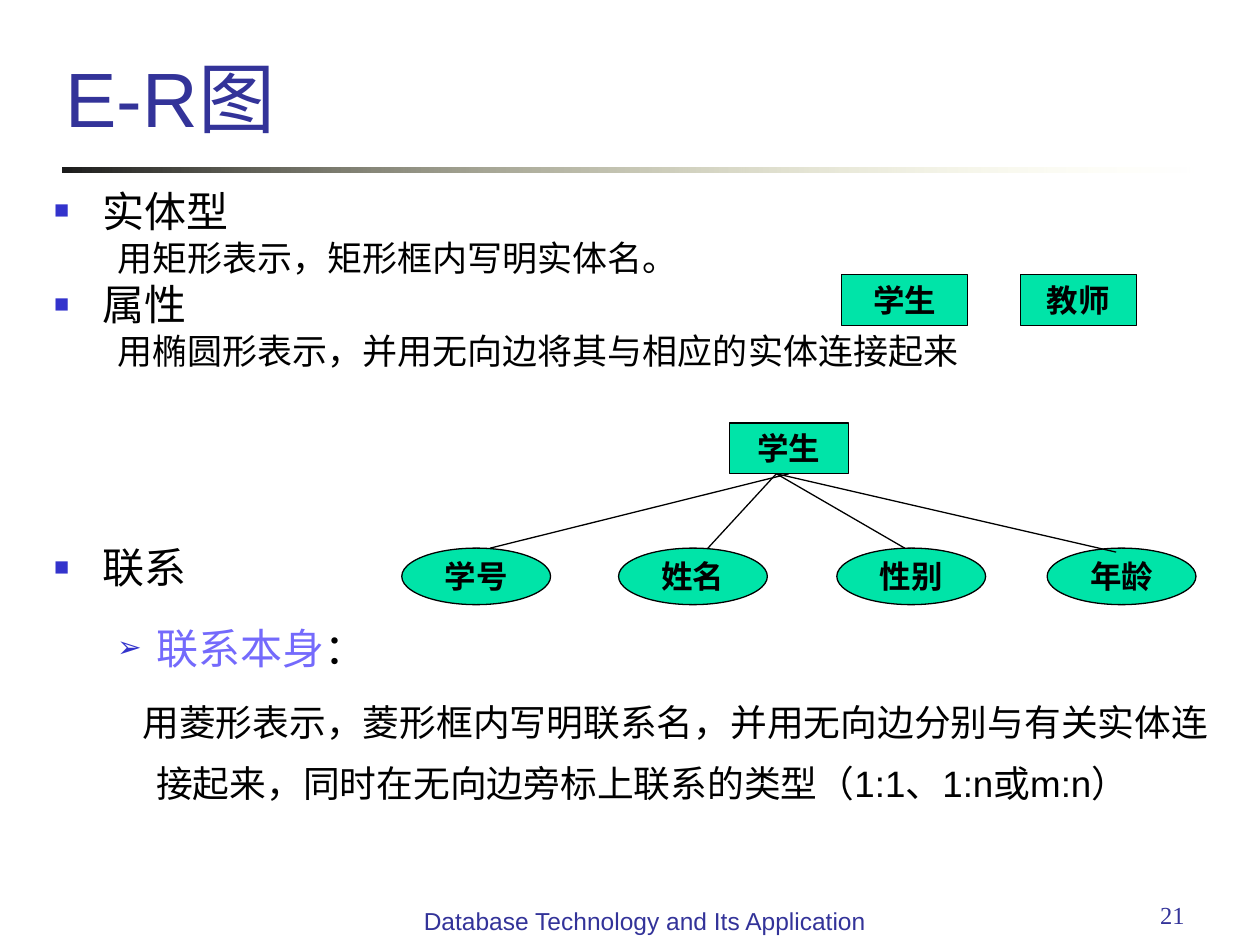
from dataclasses import dataclass

from lxml import etree
from pptx import Presentation
from pptx.dml.color import RGBColor
from pptx.enum.shapes import MSO_CONNECTOR, MSO_SHAPE
from pptx.enum.text import MSO_ANCHOR, PP_ALIGN
from pptx.oxml.ns import qn
from pptx.util import Cm, Pt

RECT, OVAL, STRAIGHT = MSO_SHAPE.RECTANGLE, MSO_SHAPE.OVAL, MSO_CONNECTOR.STRAIGHT
TOP, MIDDLE, BOTTOM = MSO_ANCHOR.TOP, MSO_ANCHOR.MIDDLE, MSO_ANCHOR.BOTTOM
LEFT, CENTER, RIGHT = PP_ALIGN.LEFT, PP_ALIGN.CENTER, PP_ALIGN.RIGHT
SANS, SERIF = "Arial", "Times New Roman"
COLORS = {
    "text": "000000", "heading": "333399", "bullet": "3333CC", "accent": "746AFC",
    "node": "00E4A8", "rule_start": "1C1C1C", "rule_end": "FFFFB7",
}
SQUARE, ARROW = ("■", 60), ("➢", 70)
BOTTOM_SIDE = 2


@dataclass
class Box:
    left: float
    top: float
    width: float
    height: float

    def lengths(self) -> list:
        return [Cm(v) for v in (self.left, self.top, self.width, self.height)]


@dataclass
class Label:
    text: str
    size: float
    font: str = SANS
    color: str = "heading"
    align: int = LEFT


@dataclass
class Item:
    runs: list
    size: float
    before: float = 0
    spacing: float = 0.8
    margin: float = 2.06
    indent: float = -0.79
    bullet: tuple | None = None


@dataclass
class Spoke:
    start_x: float
    end_x: float
    end_y: float
    joined: bool = False


RULE = Box(1.27, 3.38, 22.86, 0.1)
LABELS = [
    (Box(1.07, 0, 22.3, 3), Label("E-R图", 44), BOTTOM),
    (Box(18.21, 18.01, 5.92, 0.9), Label("21", 14, SERIF, align=RIGHT), TOP),
    (Box(8.1, 18.14, 9.8, 0.9),
     Label("Database Technology and Its Application", 14, align=CENTER), TOP),
]
BODY = Box(0.84, 3.81, 24.03, 13.23)
TOPIC = dict(size=24, margin=0.97, indent=-0.97, bullet=SQUARE)
ITEMS = [
    Item([("实体型", "text")], **TOPIC),
    Item([("用矩形表示，矩形框内写明实体名。", "text")], 20, 5),
    Item([("属性", "text")], before=6, **TOPIC),
    Item([("用椭圆形表示，并用无向边将其与相应的实体连接起来", "text")], 20, 5),
    # the wide gap leaves room for the attribute diagram
    Item([("联系", "text")], before=103, **TOPIC),
    Item([("联系本身", "accent"), ("：", "text")], 24, 6, 1.4, bullet=ARROW),
    Item([("用菱形表示，菱形框内写明联系名，并用无向边分别与有关实体连接起来，"
           "同时在无向边旁标上联系的类型（1:1、1:n或m:n）", "text")],
         21, 5.2, 1.4, indent=-0.28),
]
EXAMPLE_ENTITIES = [
    ("学生", Box(16.97, 5.54, 2.54, 1.02)),
    ("教师", Box(20.57, 5.54, 2.34, 1.02)),
]
OWNER_BOX = Box(14.71, 8.53, 2.39, 1.02)
ATTRIBUTES = [("学号", 8.1), ("姓名", 12.47), ("性别", 16.87), ("年龄", 21.11)]
ATTRIBUTE_TOP = 11.05
SPOKES = [
    Spoke(15.9, 9.88, ATTRIBUTE_TOP, joined=True),
    Spoke(15.65, 14.27, ATTRIBUTE_TOP),
    Spoke(15.65, 18.24, ATTRIBUTE_TOP),
    Spoke(15.65, 22.5, 11.13),
]


def rgb(name: str) -> RGBColor:
    return RGBColor.from_string(COLORS[name])


def add_run(paragraph, text: str, size: float, font: str, color: str, bold=False) -> None:
    run = paragraph.add_run()
    run.text = text
    run.font.size = Pt(size)
    run.font.name = font
    run.font.bold = bold
    run.font.color.rgb = rgb(color)


def add_rule(slide, box: Box) -> None:
    """Draw the line under the title, fading out to the right."""
    rule = slide.shapes.add_shape(RECT, *box.lengths())
    rule.shadow.inherit = False
    rule.line.fill.background()
    rule.fill.gradient()
    rule.fill.gradient_angle = 0
    for stop, color in zip(rule.fill.gradient_stops, ("rule_start", "rule_end")):
        stop.color.rgb = rgb(color)
    fading = list(rule._element.spPr.iter(qn("a:srgbClr")))[-1]
    etree.SubElement(fading, qn("a:alpha"), val="0")


def add_label(slide, box: Box, label: Label, anchor: int) -> None:
    frame = slide.shapes.add_textbox(*box.lengths()).text_frame
    frame.word_wrap = True
    frame.vertical_anchor = anchor
    paragraph = frame.paragraphs[0]
    paragraph.alignment = label.align
    add_run(paragraph, label.text, label.size, label.font, label.color)


def add_bullet(paragraph, char: str, percent: int) -> None:
    properties = paragraph._p.get_or_add_pPr()
    color = etree.SubElement(properties, qn("a:buClr"))
    etree.SubElement(color, qn("a:srgbClr"), val=COLORS["bullet"])
    etree.SubElement(properties, qn("a:buSzPct"), val=str(percent * 1000))
    etree.SubElement(properties, qn("a:buFont"), typeface=SANS)
    etree.SubElement(properties, qn("a:buChar"), char=char)


def add_body(slide, box: Box, items: list[Item]) -> None:
    frame = slide.shapes.add_textbox(*box.lengths()).text_frame
    frame.word_wrap = True
    for index, item in enumerate(items):
        paragraph = frame.add_paragraph() if index else frame.paragraphs[0]
        paragraph.line_spacing = item.spacing
        paragraph.space_before = Pt(item.before)
        properties = paragraph._p.get_or_add_pPr()
        properties.set("marL", str(Cm(item.margin)))
        properties.set("indent", str(Cm(item.indent)))
        if item.bullet:
            add_bullet(paragraph, *item.bullet)
        for text, color in item.runs:
            add_run(paragraph, text, item.size, SANS, color)


def add_node(slide, kind: int, text: str, box: Box):
    node = slide.shapes.add_shape(kind, *box.lengths())
    node.shadow.inherit = False
    node.fill.solid()
    node.fill.fore_color.rgb = rgb("node")
    node.line.color.rgb = rgb("text")
    node.line.width = Pt(0.75)
    frame = node.text_frame
    frame.word_wrap = kind == RECT
    frame.vertical_anchor = MIDDLE
    frame.paragraphs[0].alignment = CENTER
    add_run(frame.paragraphs[0], text, 18, SERIF, "text", bold=True)
    return node


def add_spoke(slide, owner, spoke: Spoke) -> None:
    line = slide.shapes.add_connector(
        STRAIGHT, Cm(spoke.start_x), owner.top + owner.height,
        Cm(spoke.end_x), Cm(spoke.end_y))
    if spoke.joined:
        line.begin_connect(owner, BOTTOM_SIDE)
    line.line.color.rgb = rgb("text")
    line.line.width = Pt(0.75)
    etree.SubElement(line._element.spPr, qn("a:effectLst"))


def main() -> None:
    deck = Presentation()
    deck.slide_width, deck.slide_height = Cm(25.4), Cm(19.05)
    slide = deck.slides.add_slide(deck.slide_layouts[6])
    add_rule(slide, RULE)
    for box, label, anchor in LABELS:
        add_label(slide, box, label, anchor)
    add_body(slide, BODY, ITEMS)
    for name, box in EXAMPLE_ENTITIES:
        add_node(slide, RECT, name, box)
    owner = add_node(slide, RECT, "学生", OWNER_BOX)
    for name, left in ATTRIBUTES:
        add_node(slide, OVAL, name, Box(left, ATTRIBUTE_TOP, 3, 1.14))
    for spoke in SPOKES:
        add_spoke(slide, owner, spoke)
    deck.save("out.pptx")


if __name__ == "__main__":
    main()
